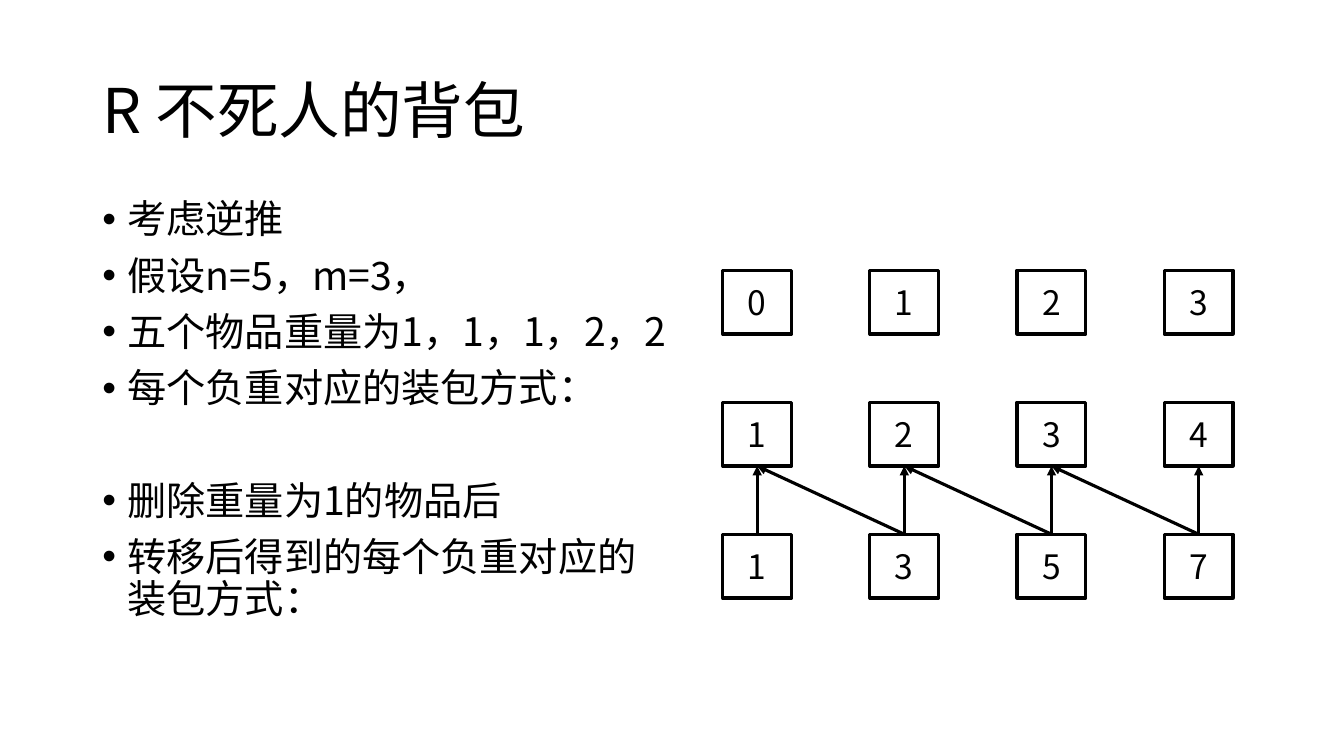
import pptx
import pptx.dml.color
import pptx.enum.shapes
import pptx.enum.text
import pptx.oxml
import pptx.oxml.ns
import pptx.util
from dataclasses import dataclass

BLACK = pptx.dml.color.RGBColor(0, 0, 0)
WHITE = pptx.dml.color.RGBColor(255, 255, 255)


@dataclass(frozen=True)
class Theme:
    font: str = "Noto Sans CJK SC"
    ink: pptx.dml.color.RGBColor = BLACK
    paper: pptx.dml.color.RGBColor = WHITE
    title_size: float = 44
    body_size: float = 28
    cell_size: float = 24
    line_width: float = 2.25
    line_spacing: float = 0.9
    bullet_gap: float = 10
    section_gap: float = 50


THEME = Theme()
UNIT = pptx.util.Inches(1) // 12  # the slide is 160 columns by 90 rows

TITLE = "R 不死人的背包"
TITLE_AREA = (11, 4.8, 138, 17.4)
BULLET_AREA = (11, 23.2, 69.7, 58)
SECTIONS = [
    ["考虑逆推", "假设n=5，m=3，", "五个物品重量为1，1，1，2，2", "每个负重对应的装包方式："],
    ["删除重量为1的物品后", "转移后得到的每个负重对应的装包方式："],
]
STATES = [[0, 1, 2, 3], [1, 2, 3, 4], [1, 3, 5, 7]]
STATE_LEFT, STATE_TOP = 86.04, 32.16
STATE_WIDTH, STATE_HEIGHT = 8.2, 7.6
COLUMN_PITCH, ROW_PITCH = 17.52, 15.72


def grid(*lengths):
    return [round(length * UNIT) for length in lengths]


def apply_format(target, values):
    for name, value in values.items():
        setattr(target, name, value)


def add_xml(parent, tag, **attributes):
    element = pptx.oxml.parse_xml(f"<{tag} {pptx.oxml.ns.nsdecls('a')}/>")
    for name, value in attributes.items():
        element.set(name, value)
    parent.append(element)


def write(paragraph, text, size):
    run = paragraph.add_run()
    run.text = text
    apply_format(run.font, {"name": THEME.font, "size": pptx.util.Pt(size)})
    run.font.color.rgb = THEME.ink
    add_xml(run.font._element, "a:ea", typeface=THEME.font)


def format_line(shape):
    shape.line.color.rgb = THEME.ink
    shape.line.width = pptx.util.Pt(THEME.line_width)


def add_title(slide):
    title = slide.shapes.title
    apply_format(title, dict(zip(("left", "top", "width", "height"), grid(*TITLE_AREA))))
    title.text_frame.vertical_anchor = pptx.enum.text.MSO_ANCHOR.MIDDLE
    paragraph = title.text_frame.paragraphs[0]
    apply_format(paragraph, {
        "alignment": pptx.enum.text.PP_ALIGN.LEFT,
        "line_spacing": THEME.line_spacing,
    })
    write(paragraph, TITLE, THEME.title_size)


def add_bullet(paragraph, text, gap):
    apply_format(paragraph, {
        "line_spacing": THEME.line_spacing,
        "space_before": pptx.util.Pt(gap),
    })
    properties = paragraph._p.get_or_add_pPr()
    indent = pptx.util.Inches(0.25)
    properties.set("marL", str(indent))
    properties.set("indent", str(-indent))
    add_xml(properties, "a:buFont", typeface="Arial")
    add_xml(properties, "a:buChar", char="•")
    write(paragraph, text, THEME.body_size)


def add_bullets(slide):
    frame = slide.shapes.add_textbox(*grid(*BULLET_AREA)).text_frame
    frame.word_wrap = True
    for section_index, section in enumerate(SECTIONS):
        for index, text in enumerate(section):
            if section_index == index == 0:
                add_bullet(frame.paragraphs[0], text, 0)
            else:
                gap = THEME.bullet_gap if index else THEME.section_gap
                add_bullet(frame.add_paragraph(), text, gap)


def add_state(slide, row, column, value):
    box = slide.shapes.add_shape(
        pptx.enum.shapes.MSO_SHAPE.RECTANGLE,
        *grid(STATE_LEFT + column * COLUMN_PITCH, STATE_TOP + row * ROW_PITCH,
              STATE_WIDTH, STATE_HEIGHT))
    box.shadow.inherit = False
    box.fill.solid()
    box.fill.fore_color.rgb = THEME.paper
    format_line(box)
    box.text_frame.vertical_anchor = pptx.enum.text.MSO_ANCHOR.MIDDLE
    paragraph = box.text_frame.paragraphs[0]
    paragraph.alignment = pptx.enum.text.PP_ALIGN.CENTER
    write(paragraph, str(value), THEME.cell_size)
    return box


def add_transition(slide, source, target):
    """Draw an arrow from the top of source to the bottom of target."""
    arrow = slide.shapes.add_connector(
        pptx.enum.shapes.MSO_CONNECTOR.STRAIGHT, 0, 0, 0, 0)
    arrow.begin_connect(source, 0)
    arrow.end_connect(target, 2)
    format_line(arrow)
    add_xml(arrow.line._get_or_add_ln(), "a:tailEnd", type="triangle")
    add_xml(arrow._element.spPr, "a:effectLst")


def add_diagram(slide):
    rows = [[add_state(slide, row, column, value) for column, value in enumerate(values)]
            for row, values in enumerate(STATES)]
    targets, sources = rows[1:]
    for column, source in enumerate(sources):
        for target in targets[max(column - 1, 0):column + 1]:
            add_transition(slide, source, target)


def main():
    presentation = pptx.Presentation()
    apply_format(presentation, {"slide_width": 160 * UNIT, "slide_height": 90 * UNIT})
    slide = presentation.slides.add_slide(presentation.slide_layouts.get_by_name("Title Only"))
    add_title(slide)
    add_bullets(slide)
    add_diagram(slide)
    presentation.save("out.pptx")


if __name__ == "__main__":
    main()
